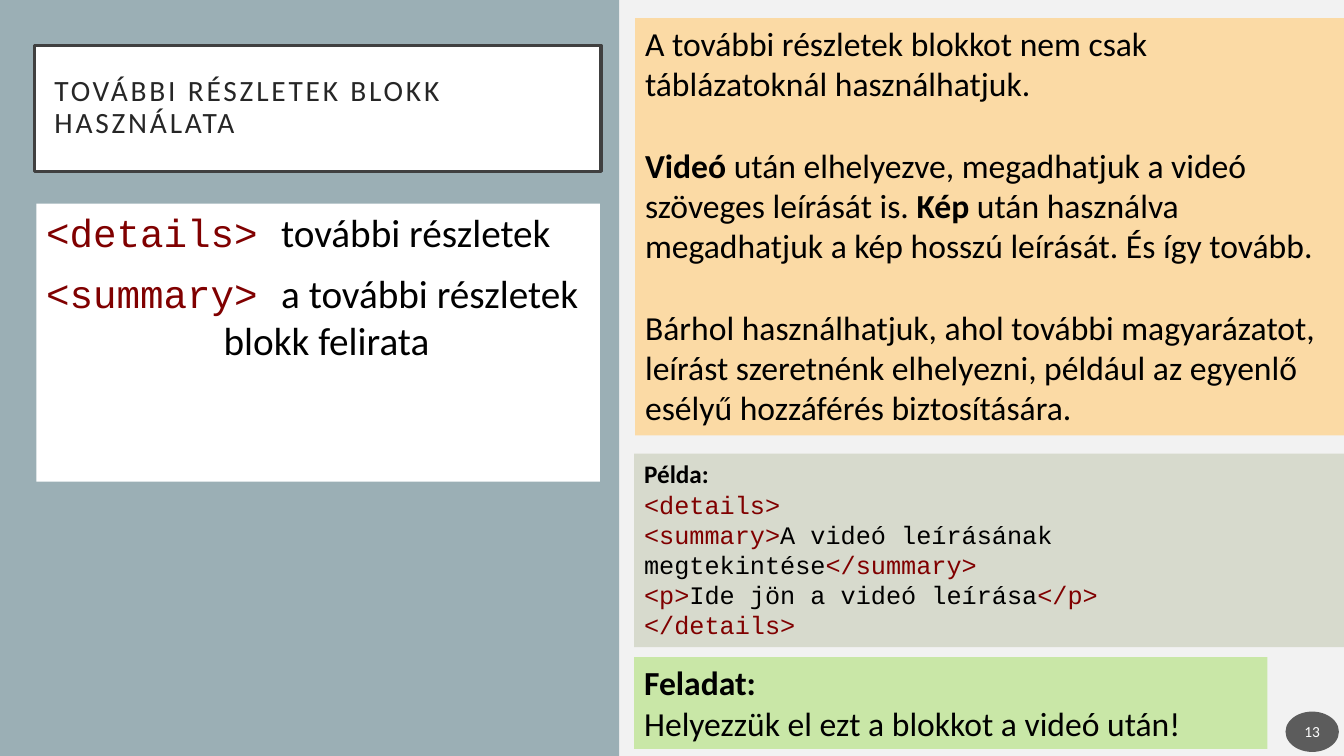
from dataclasses import dataclass, field

import lxml.etree
import pptx
import pptx.dml.color
import pptx.enum.shapes
import pptx.enum.text
import pptx.oxml.ns
import pptx.presentation
import pptx.shapes.autoshape
import pptx.slide
import pptx.text.text
import pptx.util

Inches = pptx.util.Inches
Pt = pptx.util.Pt


@dataclass(frozen=True)
class Theme:
    background: str = "F2F2F2"
    panel: str = "9BAFB5"
    white: str = "FFFFFF"
    title_border: str = "404040"
    title_text: str = "262626"
    text: str = "000000"
    tag: str = "800000"
    usage: str = "FBDAA5"
    example: str = "D7DACD"
    task: str = "C9E7A7"
    badge: str = "1D1D1D"
    body_font: str = "Calibri"
    code_font: str = "Courier New"
    title_size: float = 21
    definition_size: float = 28
    usage_size: float = 24
    example_size: float = 18
    badge_size: float = 11


THEME = Theme()


@dataclass(frozen=True)
class Span:
    text: str
    bold: bool = False
    code: bool = False
    color: str = THEME.text


@dataclass(frozen=True)
class Para:
    spans: list[Span]
    space_before: float = 0
    hanging: float = 0


@dataclass(frozen=True)
class Box:
    left: float
    top: float
    width: float
    height: float
    fill: str
    size: float = THEME.usage_size
    paras: list[Para] = field(default_factory=list)


def tag(text: str) -> Span:
    return Span(text, code=True, color=THEME.tag)


def code(text: str) -> Span:
    return Span(text, code=True)


def bold(text: str) -> Span:
    return Span(text, bold=True)


BLANK_LINE = 29.3
HANGING = 1.76

BOXES = [
    Box(0.36, 2.02, 5.59, 2.76, THEME.white, THEME.definition_size, [
        Para([tag("<details> "), Span("további részletek")]),
        Para([tag("<summary> "), Span("a további részletek\vblokk felirata")],
             space_before=10, hanging=HANGING),
    ]),
    Box(6.29, 4.5, 7.04, 1.92, THEME.example, THEME.example_size, [
        Para([bold("Példa:")]),
        Para([tag("<details>")]),
        Para([tag("<summary>"), code("A videó leírásának megtekintése"), tag("</summary>")]),
        Para([tag("<p>"), code("Ide jön a videó leírása"), tag("</p>")]),
        Para([tag("</details>")]),
    ]),
    Box(6.3, 0.18, 7.03, 4.14, THEME.usage, paras=[
        Para([Span("A további részletek blokkot nem csak táblázatoknál használhatjuk.")]),
        Para([
            bold("Videó"),
            Span(" után elhelyezve, megadhatjuk a videó szöveges leírását is. "),
            bold("Kép"),
            Span(" után használva megadhatjuk a kép hosszú leírását. És így tovább."),
        ], space_before=BLANK_LINE),
        Para([Span("Bárhol használhatjuk, ahol további magyarázatot, leírást szeretnénk "
                   "elhelyezni, például az egyenlő esélyű hozzáférés biztosítására.")],
             space_before=BLANK_LINE),
    ]),
    Box(6.29, 6.52, 6.28, 0.91, THEME.task, paras=[
        Para([bold("Feladat:")]),
        Para([Span("Helyezzük el ezt a blokkot a videó után!")]),
    ]),
]


def rgb(color: str) -> pptx.dml.color.RGBColor:
    return pptx.dml.color.RGBColor.from_string(color)


def set_fill(shape: pptx.shapes.autoshape.Shape, color: str) -> None:
    shape.fill.solid()
    shape.fill.fore_color.rgb = rgb(color)


def write_para(paragraph: pptx.text.text._Paragraph, para: Para, size: float) -> None:
    paragraph.alignment = pptx.enum.text.PP_ALIGN.LEFT
    paragraph.space_before = Pt(para.space_before)
    if para.hanging:
        properties = paragraph._p.get_or_add_pPr()
        properties.set("marL", str(Inches(para.hanging)))
        properties.set("indent", str(-Inches(para.hanging)))
    paragraph.font.size = Pt(size)
    for span in para.spans:
        for index, line in enumerate(span.text.split("\v")):
            if index:
                paragraph.add_line_break()
            run = paragraph.add_run()
            run.text = line
            run.font.size = Pt(size)
            run.font.name = THEME.code_font if span.code else THEME.body_font
            run.font.bold = span.bold
            run.font.color.rgb = rgb(span.color)


def add_box(slide: pptx.slide.Slide, box: Box,
            kind: pptx.enum.shapes.MSO_SHAPE = pptx.enum.shapes.MSO_SHAPE.RECTANGLE,
            ) -> pptx.shapes.autoshape.Shape:
    shape = slide.shapes.add_shape(kind, Inches(box.left), Inches(box.top),
                                   Inches(box.width), Inches(box.height))
    shape.shadow.inherit = False
    shape.line.fill.background()
    set_fill(shape, box.fill)
    frame = shape.text_frame
    frame.word_wrap = True
    frame.vertical_anchor = pptx.enum.text.MSO_ANCHOR.TOP
    for index, para in enumerate(box.paras):
        paragraph = frame.add_paragraph() if index else frame.paragraphs[0]
        write_para(paragraph, para, box.size)
    return shape


def add_panel(slide: pptx.slide.Slide) -> None:
    panel = add_box(slide, Box(0, 0, 6.14, 7.5, THEME.panel))
    slide.shapes.title.element.addprevious(panel.element)


def format_title(slide: pptx.slide.Slide) -> None:
    title = slide.shapes.title
    title.left, title.top = Inches(0.34), Inches(0.45)
    title.width, title.height = Inches(5.62), Inches(1.25)
    set_fill(title, THEME.white)
    title.line.color.rgb = rgb(THEME.title_border)
    title.line.width = Pt(2.5)
    frame = title.text_frame
    frame.word_wrap = True
    frame.auto_size = pptx.enum.text.MSO_AUTO_SIZE.NONE
    frame.vertical_anchor = pptx.enum.text.MSO_ANCHOR.MIDDLE
    frame.margin_left = frame.margin_right = Inches(0.2)
    frame.margin_top = frame.margin_bottom = Inches(0.2)
    paragraph = frame.paragraphs[0]
    heading = Span("TOVÁBBI RÉSZLETEK BLOKK HASZNÁLATA", color=THEME.title_text)
    write_para(paragraph, Para([heading]), THEME.title_size)
    paragraph.line_spacing = 0.9
    paragraph.runs[0].font._element.set("spc", "200")


def add_badge(slide: pptx.slide.Slide) -> None:
    number = Para([Span("13", color=THEME.white)])
    badge = add_box(slide, Box(12.75, 7.06, 0.53, 0.4, THEME.badge, THEME.badge_size, [number]),
                    pptx.enum.shapes.MSO_SHAPE.OVAL)
    frame = badge.text_frame
    frame.margin_left = frame.margin_right = Inches(0.02)
    frame.vertical_anchor = pptx.enum.text.MSO_ANCHOR.MIDDLE
    frame.paragraphs[0].alignment = pptx.enum.text.PP_ALIGN.CENTER
    color = badge.element.spPr.find(".//" + pptx.oxml.ns.qn("a:srgbClr"))
    lxml.etree.SubElement(color, pptx.oxml.ns.qn("a:alpha")).set("val", "70000")


def main() -> None:
    deck = pptx.Presentation()
    deck.slide_width, deck.slide_height = Inches(13.33), Inches(7.5)
    slide = deck.slides.add_slide(deck.slide_layouts.get_by_name("Title Only"))
    slide.background.fill.solid()
    slide.background.fill.fore_color.rgb = rgb(THEME.background)
    format_title(slide)
    add_panel(slide)
    for box in BOXES:
        add_box(slide, box)
    add_badge(slide)
    deck.save("out.pptx")


if __name__ == "__main__":
    main()
